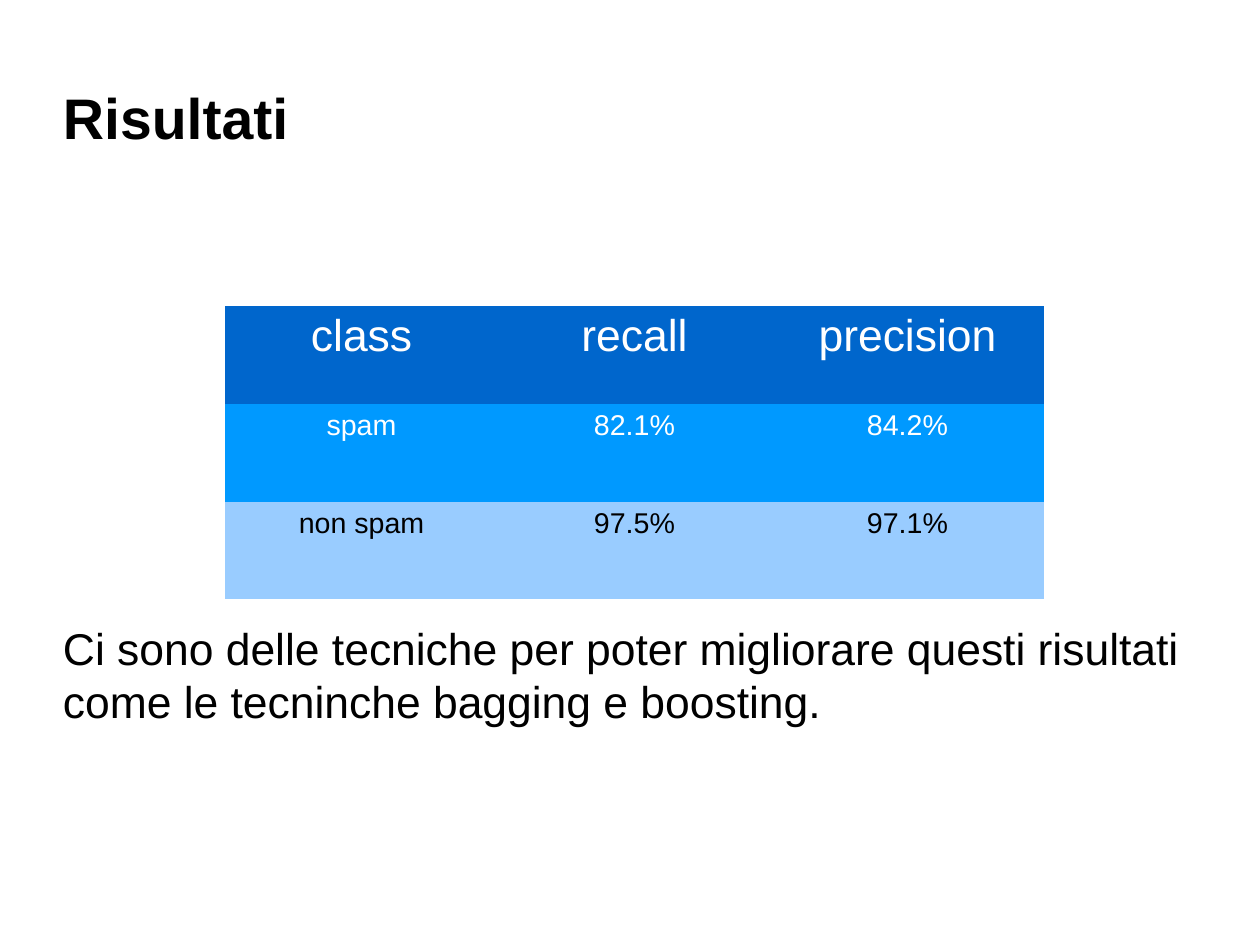
from pptx import Presentation
from pptx.dml.color import RGBColor
from pptx.enum.text import MSO_ANCHOR, PP_ALIGN
from pptx.util import Cm, Pt

LEFT, CENTER = PP_ALIGN.LEFT, PP_ALIGN.CENTER
TOP, MIDDLE = MSO_ANCHOR.TOP, MSO_ANCHOR.MIDDLE

THEME = {
    "font": "Arial",
    "title": 36, "body": 28, "values": 18,
    "dark": "000000", "light": "FFFFFF",
    "header_fill": "0066CC", "spam_fill": "0099FF", "non_spam_fill": "99CCFF",
}


def write(frame, text, size, color=THEME["dark"], bold=False, align=LEFT):
    paragraph = frame.paragraphs[0]
    paragraph.alignment = align
    run = paragraph.add_run()
    run.text = text
    run.font.name = THEME["font"]
    run.font.size = Pt(size)
    run.font.bold = bold
    run.font.color.rgb = RGBColor.from_string(color)


deck = Presentation()
deck.slide_width = Cm(28)
deck.slide_height = Cm(21)
slide = deck.slides.add_slide(deck.slide_layouts[6])
margin = int(deck.slide_width * 0.05)

passages = [
    ("Risultati", 1.6, 20, 2, MIDDLE, THEME["title"], True),
    ("Ci sono delle tecniche per poter migliorare questi risultati "
     "come le tecninche bagging e boosting.",
     13.8, 25, 5.8, TOP, THEME["body"], False),
]
for text, top, width, height, anchor, size, bold in passages:
    passage = slide.shapes.add_textbox(
        margin, Cm(top), Cm(width), Cm(height)).text_frame
    passage.word_wrap = True
    passage.vertical_anchor = anchor
    passage.margin_left = passage.margin_right = 0
    passage.margin_top = passage.margin_bottom = 0
    write(passage, text, size, bold=bold)

results = [
    (("class", "recall", "precision"), "header_fill", "light", "body"),
    (("spam", "82.1%", "84.2%"), "spam_fill", "light", "values"),
    (("non spam", "97.5%", "97.1%"), "non_spam_fill", "dark", "values"),
]
scores = slide.shapes.add_table(
    len(results), 3, Cm(5), Cm(6.8), Cm(18.2), Cm(6.52)).table
scores.first_row = False
scores.horz_banding = False
for row, (entries, fill, color, size) in enumerate(results):
    for column, entry in enumerate(entries):
        cell = scores.cell(row, column)
        cell.fill.solid()
        cell.fill.fore_color.rgb = RGBColor.from_string(THEME[fill])
        write(cell.text_frame, entry, THEME[size], THEME[color], align=CENTER)

style_id = scores._tbl.tblPr.find(
    "{http://schemas.openxmlformats.org/drawingml/2006/main}tableStyleId")
style_id.text = "{2D5ABB26-0587-4C30-8999-92F81FD0307C}"

deck.save("out.pptx")
